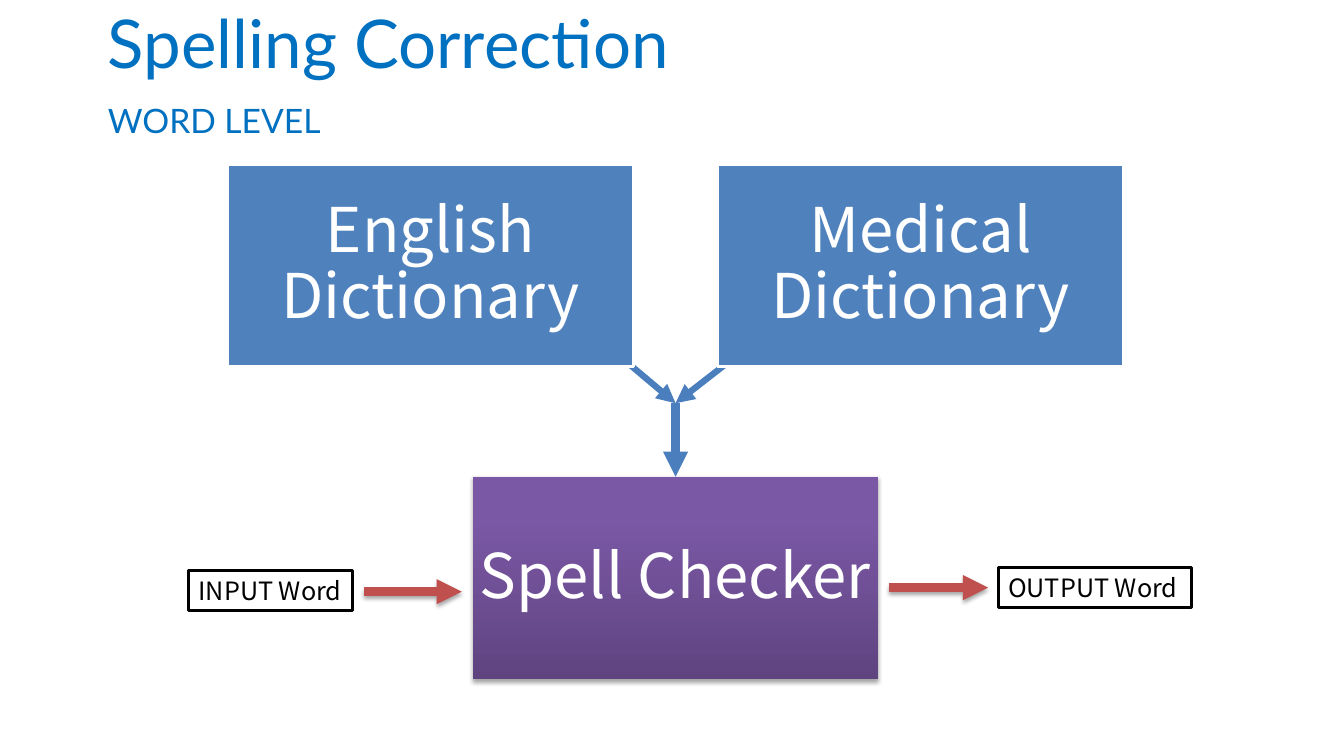
from lxml import etree
from pptx import Presentation, oxml
from pptx import util as u
from pptx.dml.color import RGBColor
from pptx.enum import shapes, text
from pptx.oxml.ns import nsdecls, qn

COLORS = {
    "heading": "0070C0", "dictionary": "4F81BD", "merge": "4B7EBC",
    "flow": "C0504D", "white": "FFFFFF", "black": "000000",
}
HEADING_FONT, BODY_FONT = "Lato", "Noto Sans CJK KR"
SHADOW = (
    f'<a:effectLst {nsdecls("a")}><a:outerShdw blurRad="39400" dist="22900" dir="5400000" rotWithShape="0">'
    '<a:srgbClr val="000000"><a:alpha val="35000"/></a:srgbClr></a:outerShdw></a:effectLst>'
)
CHECKER_FILL = (
    f'<a:gradFill {nsdecls("a")} rotWithShape="1"><a:gsLst>'
    '<a:gs pos="0"><a:srgbClr val="5F4480"/></a:gs>'
    '<a:gs pos="80000"><a:srgbClr val="7B58A6"/></a:gs>'
    '<a:gs pos="100000"><a:srgbClr val="7C57A8"/></a:gs>'
    '</a:gsLst><a:lin ang="16200000" scaled="0"/></a:gradFill>'
)


def write(box, words, size, color, font=BODY_FONT, align=text.PP_ALIGN.LEFT,
          anchor=text.MSO_ANCHOR.MIDDLE, spacing=1.0, inset=None, wrap=True):
    frame = box.text_frame
    frame.word_wrap = wrap
    frame.auto_size = text.MSO_AUTO_SIZE.NONE
    frame.vertical_anchor = anchor
    if inset is not None:
        frame.margin_left = frame.margin_right = u.Inches(inset)
        frame.margin_top = frame.margin_bottom = u.Inches(inset)
    para = frame.paragraphs[0]
    para.alignment = align
    para.line_spacing = spacing
    para.space_before = u.Pt(0)
    span = para.add_run()
    span.text = words
    span.font.name = font
    span.font.size = u.Pt(size)
    span.font.color.rgb = RGBColor.from_string(COLORS[color])


def add_arrow(page, start, end, color, width, shadow=False):
    arrow = page.shapes.add_connector(
        shapes.MSO_CONNECTOR.STRAIGHT, *(u.Inches(v) for v in start + end))
    arrow.line.color.rgb = RGBColor.from_string(COLORS[color])
    arrow.line.width = u.Pt(width)
    etree.SubElement(arrow.line._get_or_add_ln(), qn("a:tailEnd"), type="triangle")
    effects = SHADOW if shadow else f'<a:effectLst {nsdecls("a")}/>'
    arrow._element.spPr.append(oxml.parse_xml(effects))


deck = Presentation()
deck.slide_width, deck.slide_height = u.Inches(13.33), u.Inches(7.5)
page = deck.slides.add_slide(deck.slide_layouts[1])

# Arrows from the dictionaries, behind the boxes
for start_x in (8.01, 5.49):
    add_arrow(page, (start_x, 2.98), (6.7, 4), "merge", 4.5)

# Title and subtitle
title, subtitle = page.placeholders
subtitle_props = subtitle.text_frame.paragraphs[0]._p.get_or_add_pPr()
subtitle_props.set("marL", "0")
subtitle_props.set("indent", "0")
etree.SubElement(subtitle_props, qn("a:buNone"))
for box, words, top, size, spacing in (
    (title, "Spelling Correction", 0.09, 48, 0.8),
    (subtitle, "WORD LEVEL", 0.68, 24, 0.9),
):
    box.left, box.top = u.Inches(0.97), u.Inches(top)
    box.width, box.height = u.Inches(12.36), u.Inches(0.77)
    write(box, words, size, "heading", font=HEADING_FONT,
          anchor=text.MSO_ANCHOR.BOTTOM, spacing=spacing)

# Dictionaries and spell checker
for words, left, top in (
    ("English Dictionary", 2.26, 1.63),
    ("Medical Dictionary", 7.12, 1.63),
    ("Spell Checker", 4.69, 4.73),
):
    box = page.shapes.add_shape(shapes.MSO_SHAPE.RECTANGLE, u.Inches(left),
                                u.Inches(top), u.Inches(4.02), u.Inches(2.01))
    if words == "Spell Checker":
        box.line.fill.background()
        box._element.spPr.insert(2, oxml.parse_xml(CHECKER_FILL))
        box._element.spPr.append(oxml.parse_xml(SHADOW))
    else:
        box.shadow.inherit = False
        box.fill.solid()
        box.fill.fore_color.rgb = RGBColor.from_string(COLORS["dictionary"])
        box.line.color.rgb = RGBColor.from_string(COLORS["white"])
        box.line.width = u.Pt(2)
    write(box, words, 44, "white", align=text.PP_ALIGN.CENTER, spacing=0.9, inset=0.03)

# Arrows into and out of the spell checker
add_arrow(page, (6.7, 4), (6.7, 4.73), "merge", 6)
add_arrow(page, (3.61, 5.87), (4.58, 5.87), "flow", 6, shadow=True)
add_arrow(page, (8.82, 5.83), (9.8, 5.83), "flow", 6, shadow=True)

# Input and output labels
for words, left, top, width in (
    ("INPUT Word", 1.87, 5.66, 1.63),
    ("OUTPUT Word", 9.9, 5.63, 1.92),
):
    label = page.shapes.add_shape(shapes.MSO_SHAPE.RECTANGLE, u.Inches(left),
                                  u.Inches(top), u.Inches(width), u.Inches(0.4))
    label.shadow.inherit = False
    label.fill.solid()
    label.fill.fore_color.rgb = RGBColor.from_string(COLORS["white"])
    label.line.color.rgb = RGBColor.from_string(COLORS["black"])
    label.line.width = u.Pt(2)
    write(label, words, 18, "black", wrap=False)

deck.save("out.pptx")
